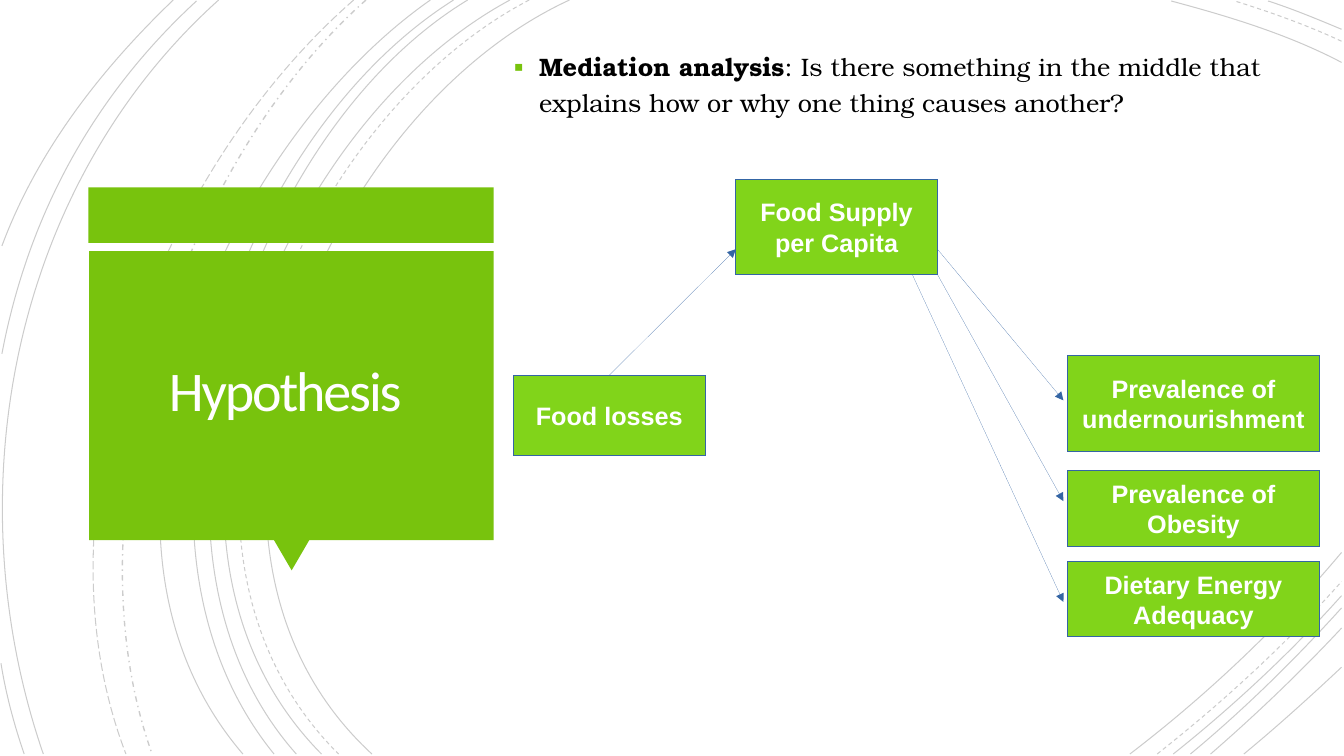
"""Build the hypothesis slide: a mediation diagram over a field of fine arcs."""
from dataclasses import dataclass

from lxml import etree
from pptx import Presentation
from pptx.dml.color import RGBColor
from pptx.enum import dml, shapes, text
from pptx.oxml import ns
from pptx.util import Pt


@dataclass(frozen=True)
class Theme:
    arc: RGBColor = RGBColor(0, 0, 0)
    panel: RGBColor = RGBColor(0x78, 0xC3, 0x0D)
    node: RGBColor = RGBColor(0x81, 0xD4, 0x1A)
    edge: RGBColor = RGBColor(0x34, 0x65, 0xA4)
    title: RGBColor = RGBColor(0xFF, 0xFE, 0xFF)
    label: RGBColor = RGBColor(0xFF, 0xFF, 0xFF)
    body: RGBColor = RGBColor(0, 0, 0)
    title_size: int = 40
    text_size: int = 18
    title_font: str = "Calibri"
    label_font: str = "Arial"
    body_font: str = "TeX Gyre Bonum"


def add_xml(parent, tag, **attributes):
    """Append a DrawingML element and return it."""
    return etree.SubElement(parent, ns.qn(tag), **attributes)


def style_span(span, font, size, color, bold=False):
    """Set the typeface, size, colour and weight of a run."""
    span.font.name, span.font.size, span.font.bold = font, Pt(size), bold
    span.font.color.rgb = color


theme = Theme()
deck = Presentation()
deck.slide_width, deck.slide_height = Pt(960), Pt(540)
page = deck.slides.add_slide(deck.slide_layouts[6])

SOLID, DASH = dml.MSO_LINE.SOLID, dml.MSO_LINE.DASH
LONG_DASH, DASH_DOT = dml.MSO_LINE.LONG_DASH, dml.MSO_LINE.DASH_DOT
BOTTOM, RIGHT = 538.6, 958.3
arcs = [
    (SOLID, (406.8, 0), (226.8, 82.8), (103, 388.8), (265.7, BOTTOM)),
    (SOLID, (RIGHT, 44.6), (920.2, 24.5), (877, 11.5), (836.6, 0.7)),
    (SOLID, (807.1, BOTTOM), (861.8, 496.8), (913.7, 447.8), (RIGHT, 394.6)),
    (DASH, (378, 0), (205.2, 90), (88.6, 386.6), (241.9, BOTTOM)),
    (DASH, (RIGHT, 29.5), (933.8, 18), (907.2, 8.6), (882, 0.7)),
    (DASH, (826.6, BOTTOM), (873.4, 501.8), (918, 460.8), (RIGHT, 415.4)),
    (SOLID, (364.3, 0), (194.4, 91.4), (79.2, 386.6), (229.7, BOTTOM)),
    (SOLID, (RIGHT, 20.9), (941, 13.7), (923.8, 6.5), (905.8, 0.7)),
    (SOLID, (838.1, BOTTOM), (880.6, 504.7), (921.6, 466.6), (RIGHT, 425.5)),
    (SOLID, (334.1, 0), (175.7, 95.8), (79.2, 389.5), (211.7, BOTTOM)),
    (SOLID, (850.3, BOTTOM), (888.5, 506.9), (924.5, 471.6), (RIGHT, 434.2)),
    (SOLID, (324, 0), (166.3, 99.4), (69.8, 383.8), (195.8, BOTTOM)),
    (SOLID, (864.7, BOTTOM), (897.1, 510.5), (928.8, 480.2), (RIGHT, 448.6)),
    (SOLID, (307.4, 0), (156.2, 105.8), (38.2, 380.9), (173.5, BOTTOM)),
    (SOLID, (888.5, BOTTOM), (912.2, 519.1), (935.3, 498.2), (RIGHT, 476.6)),
    (DASH_DOT, (261.4, 0), (126.7, 119.5), (46.8, 366.5), (108.7, BOTTOM)),
    (LONG_DASH, (252.7, 0), (113, 121.7), (20.9, 359.3), (90, BOTTOM)),
    (SOLID, (156.2, 0), (7.9, 133.2), (-33.1, 352.8), (31, BOTTOM)),
    (SOLID, (140.4, 0.7), (66.2, 69.1), (20.2, 154.1), (1.4, 252.7)),
    (SOLID, (0.7, 473.8), (4.3, 496.1), (10.1, 517.7), (17.3, BOTTOM)),
    (SOLID, (123.8, 0), (72, 49.7), (26.6, 108), (1.4, 175.7)),
]
for dash, *controls in arcs:
    start, *rest = [(Pt(x), Pt(y)) for x, y in controls]
    builder = page.shapes.build_freeform(*start)
    builder.add_line_segments(rest, close=False)
    arc = builder.convert_to_shape()
    segments = arc._element.findall(".//" + ns.qn("a:lnTo"))
    curve = add_xml(segments[0].getparent(), "a:cubicBezTo")
    for segment in segments:
        curve.append(segment[0])
        segment.getparent().remove(segment)
    arc.shadow.inherit = False
    arc.fill.background()
    arc.line.color.rgb = theme.arc
    arc.line.width = Pt(1 if dash == DASH_DOT else 0.75)
    arc.line.dash_style = dash
    color = arc.line.fill._xPr.find(".//" + ns.qn("a:srgbClr"))
    add_xml(color, "a:alpha", val="20000")

RECTANGLE = shapes.MSO_SHAPE.RECTANGLE
TRIANGLE = shapes.MSO_SHAPE.ISOSCELES_TRIANGLE
panels = [
    (RECTANGLE, 0, (63.2, 133.9, 289.4, 39.6)),
    (TRIANGLE, 180, (195.7, 385.8, 25.2, 21.6)),
    (RECTANGLE, 0, (63.6, 179.4, 289, 206.5)),
]
for kind, rotation, frame in panels:
    panel = page.shapes.add_shape(kind, *map(Pt, frame))
    panel.rotation = rotation
    panel.shadow.inherit = False
    panel.fill.solid()
    panel.fill.fore_color.rgb = theme.panel
    panel.line.fill.background()

title_box = page.shapes.add_textbox(Pt(69.8), Pt(185), Pt(267.8), Pt(193.7))
title = title_box.text_frame
title.word_wrap = True
title.vertical_anchor = text.MSO_ANCHOR.MIDDLE
title.margin_left = title.margin_right = Pt(18)
title.margin_top = title.margin_bottom = Pt(18)
title.text = "Hypothesis"
para = title.paragraphs[0]
para.alignment = text.PP_ALIGN.CENTER
para.line_spacing = 0.85
style_span(para.runs[0], theme.title_font, theme.title_size, theme.title)
para.runs[0].font._element.set("spc", "-150")

nodes = [
    ("Food losses", (366.5, 268, 137.5, 57.6)),
    ("Food Supply per Capita", (525.6, 128, 144, 68.2)),
    ("Prevalence of undernourishment", (762.5, 254, 180, 68.4)),
    ("Prevalence of Obesity", (762.5, 336.2, 180, 54)),
    ("Dietary Energy Adequacy", (762.5, 401, 180, 54)),
]
boxes = {}
for label, frame in nodes:
    box = boxes[label] = page.shapes.add_shape(RECTANGLE, *map(Pt, frame))
    box.shadow.inherit = False
    box.fill.solid()
    box.fill.fore_color.rgb = theme.node
    box.line.color.rgb = theme.edge
    box.line.fill._xPr.set("w", "0")
    box.text_frame.word_wrap = True
    box.text_frame.vertical_anchor = text.MSO_ANCHOR.MIDDLE
    box.text_frame.text = label
    para = box.text_frame.paragraphs[0]
    para.alignment = text.PP_ALIGN.CENTER
    style_span(para.runs[0], theme.label_font, theme.text_size, theme.label, True)

arrows = [
    ("Food losses", (435.3, 268, 525.6, 178)),
    (None, (669.6, 178, 759.6, 286)),
    (None, (669.6, 196, 759.6, 358)),
    (None, (651.6, 196, 759.6, 430)),
]
for source, ends in arrows:
    arrow = page.shapes.add_connector(shapes.MSO_CONNECTOR.STRAIGHT, *map(Pt, ends))
    if source:
        arrow.begin_connect(boxes[source], 0)
    arrow.line.color.rgb = theme.edge
    arrow.line.fill._xPr.set("w", "0")
    add_xml(arrow.line.fill._xPr, "a:tailEnd", type="triangle")
    add_xml(arrow._element.spPr, "a:effectLst")

question_box = page.shapes.add_textbox(Pt(360), Pt(-18), Pt(617), Pt(152.6))
question = question_box.text_frame
question.word_wrap = True
question.vertical_anchor = text.MSO_ANCHOR.MIDDLE
para = question.paragraphs[0]
para.line_spacing = 1.2
para.space_before = Pt(10)
wording = [
    ("Mediation analysis", True),
    (": Is there something in the middle that explains how or why one thing"
     " causes another?", False),
]
for words, bold in wording:
    span = para.add_run()
    span.text = words
    style_span(span, theme.body_font, theme.text_size, theme.body, bold)
settings = para._p.get_or_add_pPr()
settings.set("marL", str(Pt(18)))
settings.set("indent", str(Pt(-18)))
bullet_color = add_xml(settings, "a:buClr")
add_xml(bullet_color, "a:srgbClr", val=str(theme.panel))
add_xml(settings, "a:buSzPct", val="110000")
add_xml(settings, "a:buFont", typeface=theme.label_font)
add_xml(settings, "a:buChar", char="▪")

deck.save("out.pptx")
